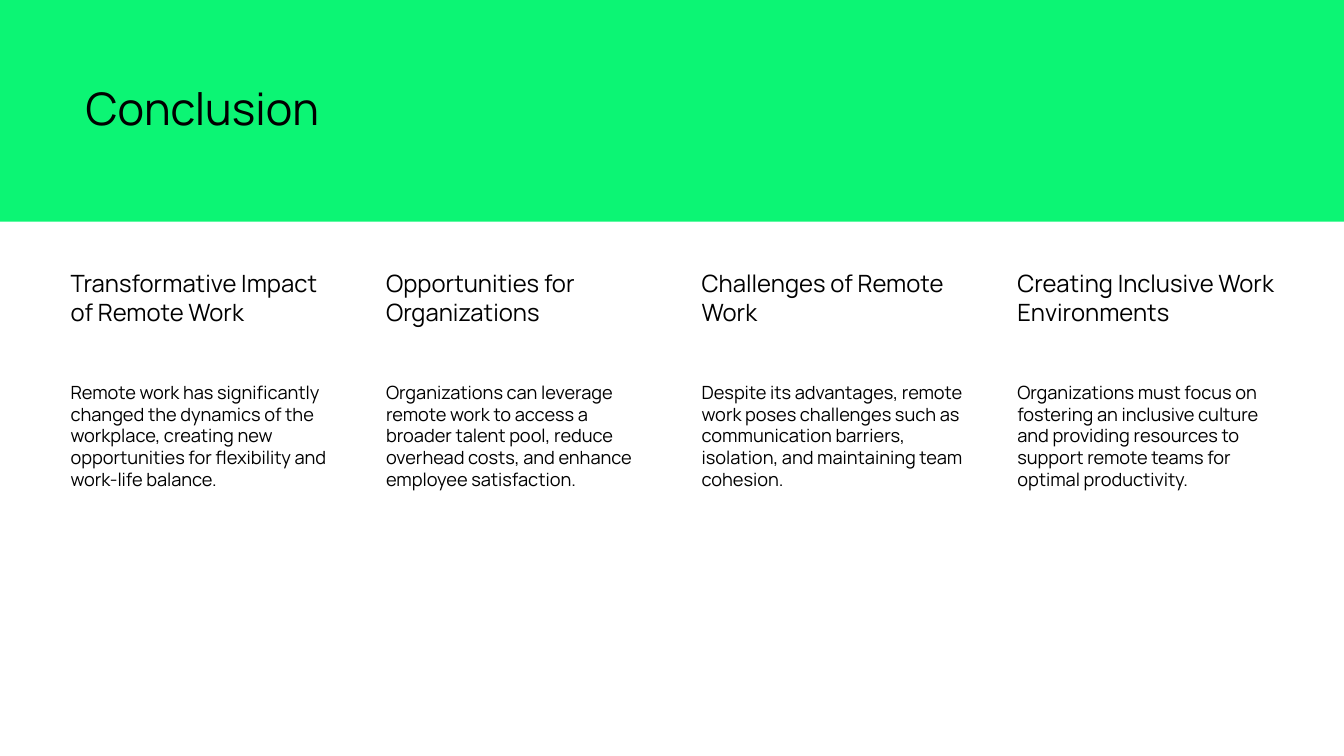
from pptx import Presentation
from pptx.dml.color import RGBColor
from pptx.enum.shapes import MSO_SHAPE
from pptx.enum.text import MSO_ANCHOR
from pptx.util import Inches, Pt

RECT = MSO_SHAPE.RECTANGLE
MIDDLE = MSO_ANCHOR.MIDDLE

FONT = "Manrope"
COLORS = {"band": "0CF574", "text": "000000"}

# Column grid
COLUMN_LEFT, COLUMN_STEP, COLUMN_WIDTH = 0.55, 3.13, 2.84
COLUMNS = [
    ("Transformative Impact of Remote Work",
     "Remote work has significantly changed the dynamics of the workplace, "
     "creating new opportunities for flexibility and work-life balance."),
    ("Opportunities for Organizations",
     "Organizations can leverage remote work to access a broader talent pool, "
     "reduce overhead costs, and enhance employee satisfaction."),
    ("Challenges of Remote Work",
     "Despite its advantages, remote work poses challenges such as "
     "communication barriers, isolation, and maintaining team cohesion."),
    ("Creating Inclusive Work Environments",
     "Organizations must focus on fostering an inclusive culture and providing "
     "resources to support remote teams for optimal productivity."),
]


def add_band(s, width, height):
    band = s.shapes.add_shape(RECT, 0, 0, width, height)
    band.shadow.inherit = False
    band.fill.solid()
    band.fill.fore_color.rgb = RGBColor.from_string(COLORS["band"])
    band.line.fill.background()


def add_text(s, text, left, top, width, height, size):
    box = s.shapes.add_textbox(Inches(left), Inches(top),
                               Inches(width), Inches(height))
    tf = box.text_frame
    tf.word_wrap = True
    p = tf.paragraphs[0]
    p.text = text
    p.font.name = FONT
    p.font.size = Pt(size)
    p.font.color.rgb = RGBColor.from_string(COLORS["text"])
    return tf


def add_title(s, text):
    tf = add_text(s, text, 0.75, 0.17, 6.51, 1.87, 32)
    tf.vertical_anchor = MIDDLE
    tf.paragraphs[0].line_spacing = 0.9


def add_column(s, left, heading, body):
    for text, top, height, size in ((heading, 2.65, 1.12, 17),
                                    (body, 3.76, 3.23, 13)):
        tf = add_text(s, text, left, top, COLUMN_WIDTH, height, size)
        tf.margin_left = Inches(0.15)
        tf.margin_top = tf.margin_right = tf.margin_bottom = Inches(0.02)


def main():
    prs = Presentation()
    prs.slide_width, prs.slide_height = Inches(13.33), Inches(7.5)
    s = prs.slides.add_slide(prs.slide_layouts[6])

    # Header
    add_band(s, prs.slide_width, Inches(2.2))
    add_title(s, "Conclusion")

    # Four takeaways
    for i, (heading, body) in enumerate(COLUMNS):
        add_column(s, COLUMN_LEFT + i * COLUMN_STEP, heading, body)

    prs.save("out.pptx")


if __name__ == "__main__":
    main()
